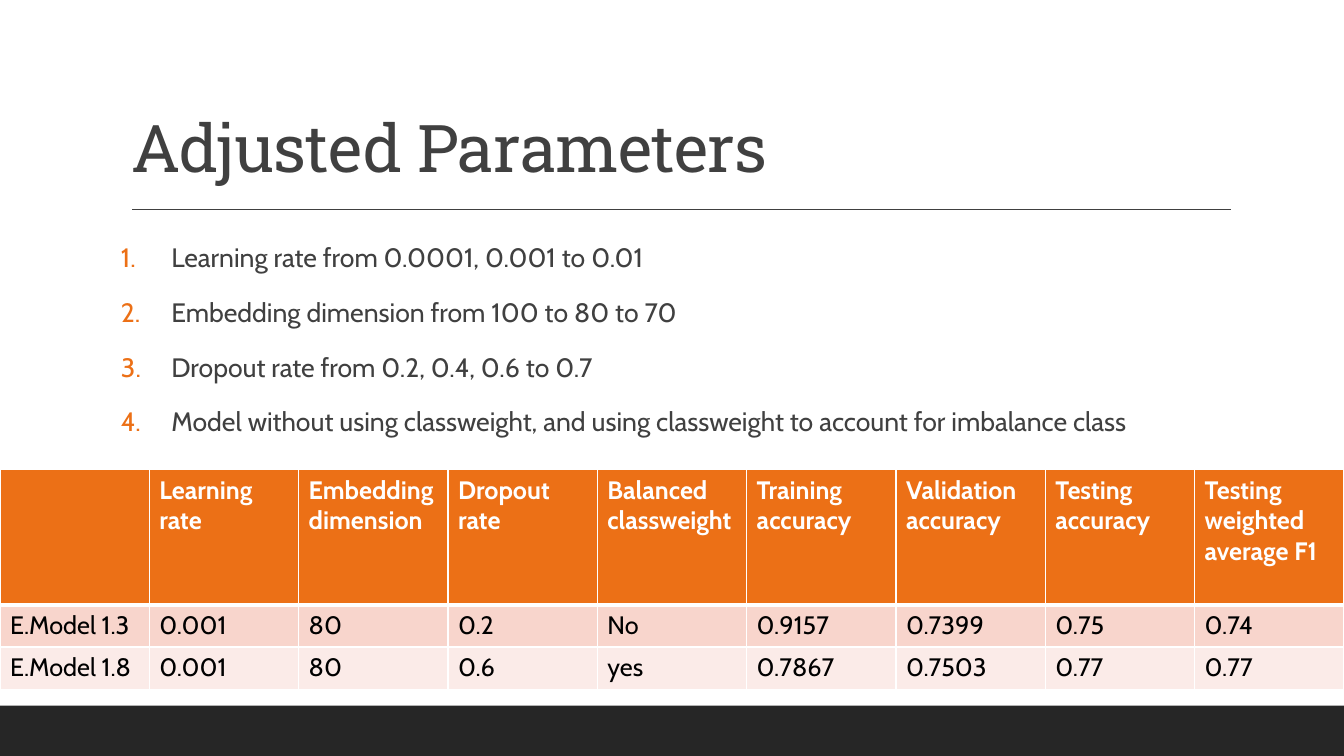
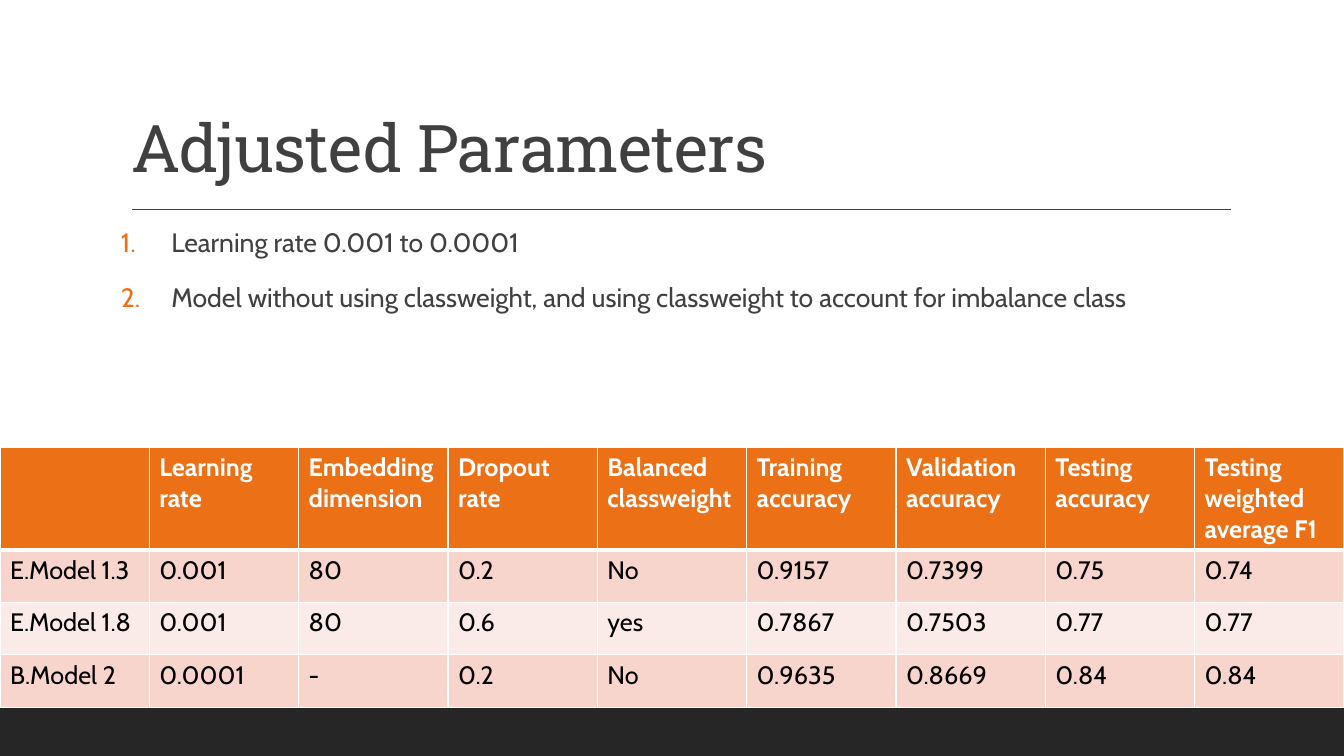
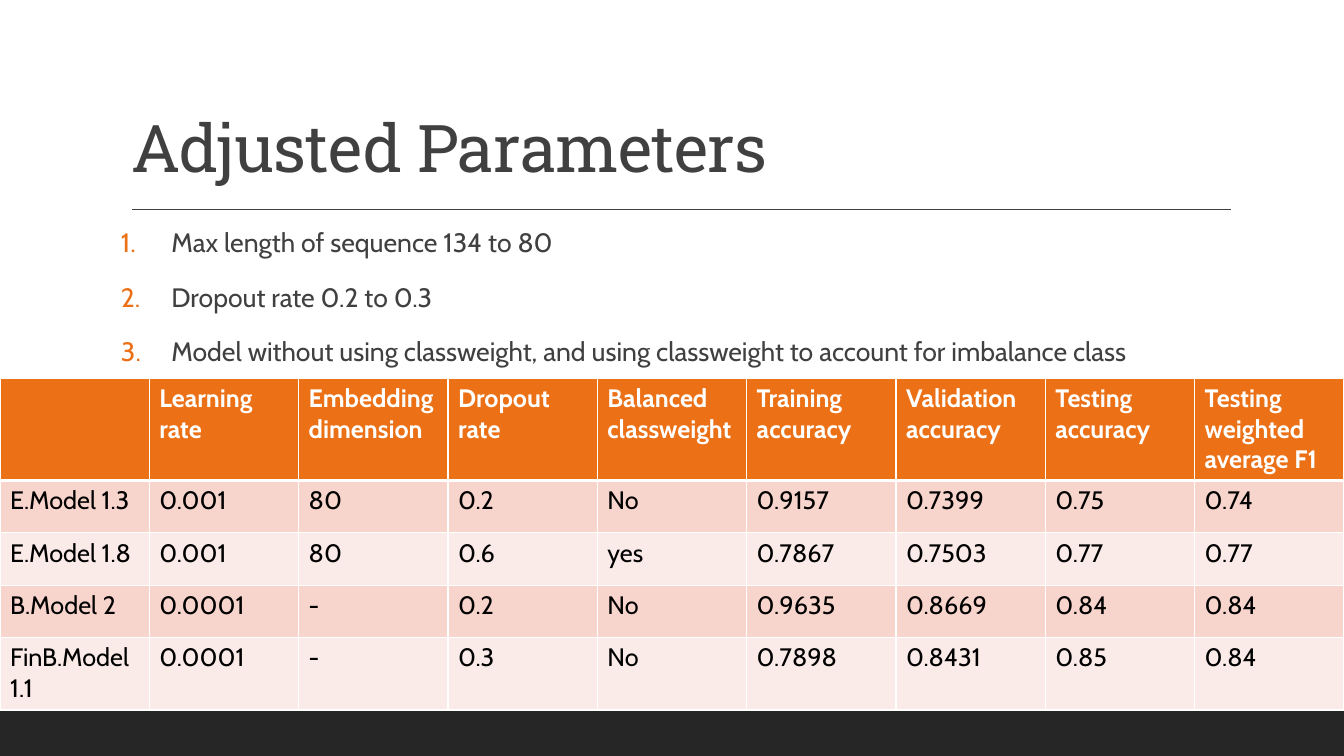
from lxml.etree import SubElement
from pptx import Presentation
from pptx.dml.color import RGBColor
from pptx.enum.shapes import MSO_CONNECTOR, MSO_SHAPE
from pptx.enum.text import MSO_ANCHOR, MSO_AUTO_SIZE, PP_ALIGN
from pptx.oxml.ns import qn
from pptx.util import Inches, Pt

HEADINGS = [
    "", "Learning rate", "Embedding dimension", "Dropout rate",
    "Balanced classweight", "Training accuracy", "Validation\naccuracy",
    "Testing accuracy", "Testing weighted average F1",
]
RESULTS = [
    ["E.Model 1.3", "0.001", "80", "0.2", "No", "0.9157", "0.7399", "0.75", "0.74"],
    ["E.Model 1.8", "0.001", "80", "0.6", "yes", "0.7867", "0.7503", "0.77", "0.77"],
    ["B.Model 2", "0.0001", "-", "0.2", "No", "0.9635", "0.8669", "0.84", "0.84"],
    ["FinB.Model 1.1", "0.0001", "-", "0.3", "No", "0.7898", "0.8431", "0.85", "0.84"],
]
CLASSWEIGHT = ("Model without using classweight, and using classweight "
               "to account for imbalance class")


def rgb(value):
    return RGBColor.from_string(value)


class Deck:
    """Style of the presentation and the slide being built."""

    WIDTH, HEIGHT = 13.33, 7.5
    HEADING_FONT, TEXT_FONT = "Roboto Slab", "Cabin"
    DARK, BAND, ACCENT = "404040", "262626", "EC7016"
    WHITE, BLACK = "FFFFFF", "000000"
    STRIPES = ["F8D5CC", "FBEBE8"]

    def __init__(self):
        self.presentation = Presentation()
        self.presentation.slide_width = Inches(self.WIDTH)
        self.presentation.slide_height = Inches(self.HEIGHT)

    def new_slide(self, title):
        layout = self.presentation.slide_layouts[1]
        self.slide = self.presentation.slides.add_slide(layout)
        self.band()
        self.rule()
        self.title(title)

    def band(self):
        band = self.slide.shapes.add_shape(
            MSO_SHAPE.RECTANGLE, 0, Inches(7), Inches(self.WIDTH), Inches(0.5))
        band.shadow.inherit = False
        band.fill.solid()
        band.fill.fore_color.rgb = rgb(self.BAND)
        band.line.fill.background()

    def rule(self):
        rule = self.slide.shapes.add_connector(
            MSO_CONNECTOR.STRAIGHT, Inches(1.31), Inches(2.08), Inches(12.21), Inches(2.08))
        rule.line.color.rgb = rgb(self.DARK)
        rule.line.width = Pt(1)
        SubElement(rule._element.spPr, qn("a:effectLst"))

    def place(self, placeholder, top, height):
        placeholder.left, placeholder.top = Inches(1.2), Inches(top)
        placeholder.width, placeholder.height = Inches(11), Inches(height)
        placeholder.text_frame.auto_size = MSO_AUTO_SIZE.NONE
        return placeholder.text_frame

    def style(self, paragraph, size, color, name=TEXT_FONT, bold=False):
        font = paragraph.font
        font.name, font.size, font.bold = name, Pt(size), bold
        font.color.rgb = rgb(color)

    def title(self, text):
        frame = self.place(self.slide.shapes.title, 0.31, 1.59)
        frame.text = text
        frame.vertical_anchor = MSO_ANCHOR.BOTTOM
        heading = frame.paragraphs[0]
        heading.alignment = PP_ALIGN.LEFT
        heading.line_spacing = 0.9
        self.style(heading, 47, self.DARK, self.HEADING_FONT)
        heading.runs[0].font._element.set("spc", "-50")

    def numbered_list(self, items, top, height):
        frame = self.place(self.slide.placeholders[1], top, height)
        frame.margin_left = frame.margin_right = 0
        frame.text = "\n".join(items)
        for index, item in enumerate(frame.paragraphs):
            item.line_spacing = 1.1
            item.space_before = Pt(12 if index else 0)
            item.space_after = Pt(2)
            properties = item._p.get_or_add_pPr()
            properties.set("marL", str(Inches(0.5)))
            properties.set("indent", str(Inches(-0.5)))
            number_color = SubElement(properties, qn("a:buClr"))
            SubElement(number_color, qn("a:srgbClr"), val=self.ACCENT)
            SubElement(properties, qn("a:buFont"), typeface=self.TEXT_FONT)
            SubElement(properties, qn("a:buAutoNum"), type="arabicPeriod")
            self.style(item, 19, self.DARK)

    def borders(self, cell, top, bottom):
        properties = cell._tc.get_or_add_tcPr()
        for side, points in (("L", 1), ("R", 1), ("T", top), ("B", bottom)):
            edge = SubElement(properties, qn(f"a:ln{side}"), w=str(Pt(points)))
            fill = SubElement(edge, qn("a:solidFill"))
            SubElement(fill, qn("a:srgbClr"), val=self.WHITE)

    def results_table(self, results, top, heights):
        rows = [HEADINGS] + results
        table = self.slide.shapes.add_table(
            len(rows), len(HEADINGS), 0, Inches(top),
            Inches(self.WIDTH), Inches(sum(heights))).table
        for row, height in zip(table.rows, heights):
            row.height = Inches(height)
        for row_index, values in enumerate(rows):
            is_header = row_index == 0
            background = self.ACCENT if is_header else self.STRIPES[(row_index - 1) % 2]
            for column, value in enumerate(values):
                cell = table.cell(row_index, column)
                cell.text = value
                self.borders(cell, 3 if row_index == 1 else 1, 3 if is_header else 1)
                cell.fill.solid()
                cell.fill.fore_color.rgb = rgb(background)
                for paragraph in cell.text_frame.paragraphs:
                    self.style(paragraph, 18, self.WHITE if is_header else self.BLACK,
                               bold=is_header)


def main():
    deck = Deck()

    deck.new_slide("Adjusted Parameters")
    deck.numbered_list([
        "Learning rate from 0.0001, 0.001 to 0.01",
        "Embedding dimension from 100 to 80 to 70",
        "Dropout rate from 0.2, 0.4, 0.6 to 0.7",
        CLASSWEIGHT,
    ], 2.31, 2.55)
    deck.results_table(RESULTS[:2], 4.66, [1.34, 0.42, 0.42])

    deck.new_slide("Adjusted Parameters")
    deck.numbered_list(["Learning rate 0.001 to 0.0001", CLASSWEIGHT], 2.16, 3.55)
    deck.results_table(RESULTS[:3], 4.44, [1] + [0.52] * 3)

    deck.new_slide("Adjusted Parameters")
    deck.numbered_list([
        "Max length of sequence 134 to 80",
        "Dropout rate 0.2 to 0.3",
        CLASSWEIGHT,
    ], 2.16, 3.55)
    deck.results_table(RESULTS, 3.75, [1] + [0.52] * 3 + [0.72])

    deck.presentation.save("out.pptx")


if __name__ == "__main__":
    main()
